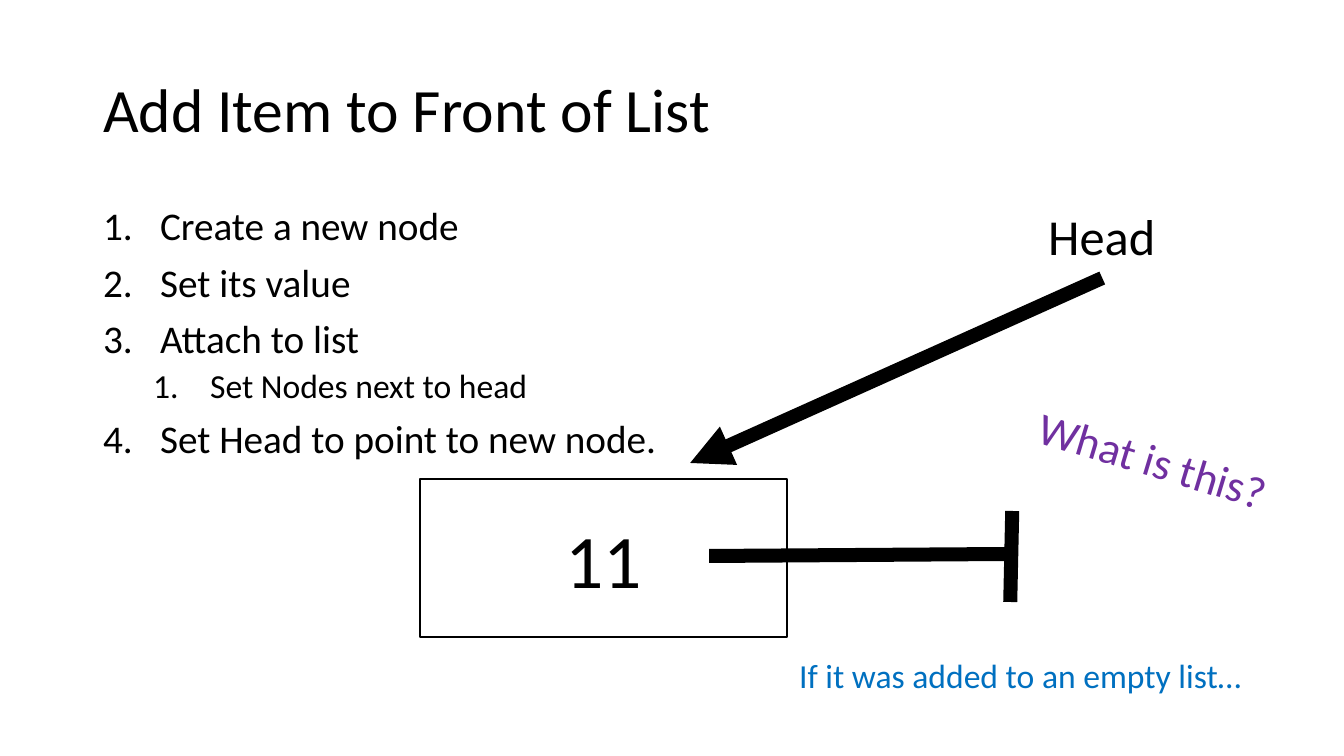
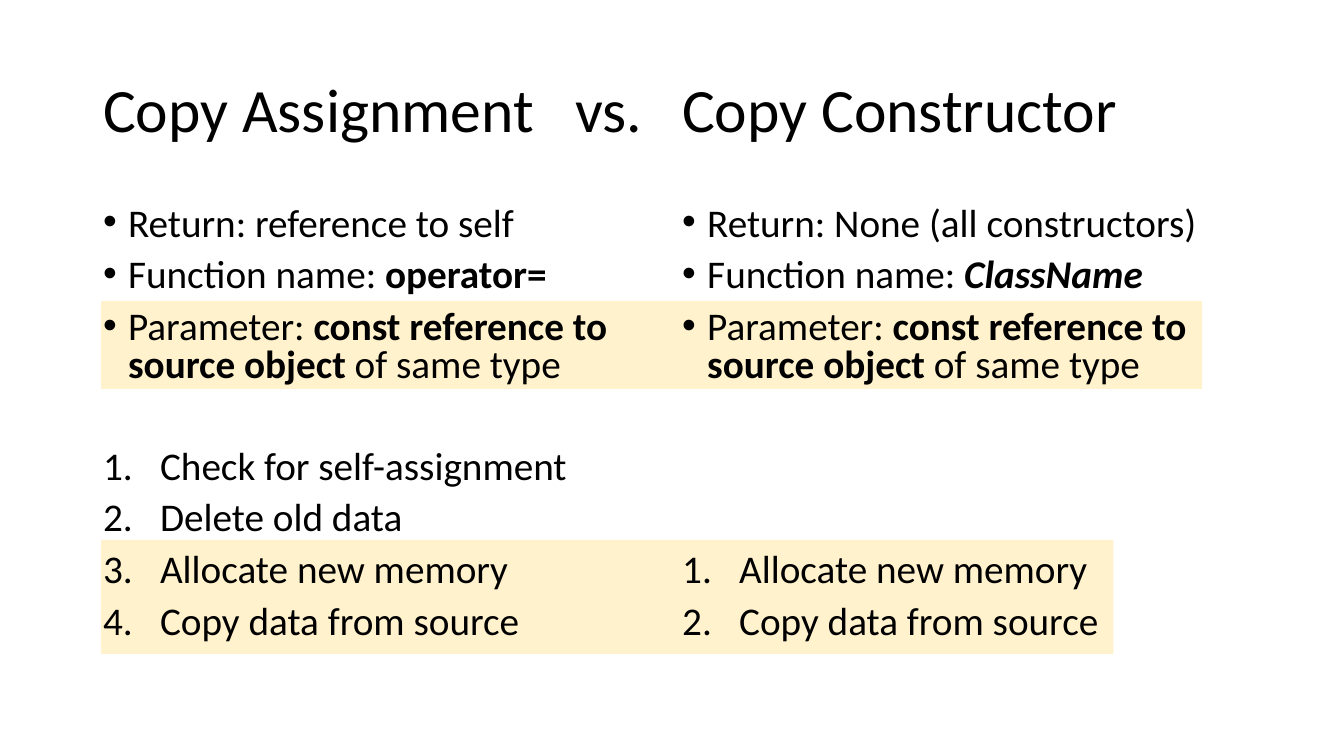
import dataclasses
import typing

import lxml.etree
import pptx
import pptx.dml.color
import pptx.enum.shapes
import pptx.enum.text
import pptx.oxml.ns
import pptx.util

# Shared look
PIXELS_PER_INCH = 100.8
FONT = "Calibri"
COLOURS = {
    "ink": "000000",
    "paper": "FFFFFF",
    "question": "7030A0",
    "note": "0070C0",
    "highlight": "FFF2CC",
}
TITLE_SIZE, LIST_SIZE, SUBLIST_SIZE = 44, 28, 24
BULLET_INDENT, NUMBER_INDENT, LEVEL_STEP = 25, 57, 50
POINTER_WIDTH = 10


@dataclasses.dataclass(frozen=True)
class Box:
    left: int
    top: int
    width: int
    height: int


@dataclasses.dataclass(frozen=True)
class Span:
    text: str
    bold: bool = False
    italic: bool = False


@dataclasses.dataclass(frozen=True)
class Paragraph:
    spans: tuple[Span, ...]
    size: float = LIST_SIZE
    marker: str = ""
    level: int = 0
    before: float = 10


@dataclasses.dataclass(frozen=True)
class Label:
    text: str
    box: Box
    size: float
    colour: str = "ink"
    wrap: bool = False
    rotation: float = 0


@dataclasses.dataclass(frozen=True)
class Pointer:
    start: tuple[int, int]
    end: tuple[int, int]
    arrow: bool = False


TITLE = Box(93, 40, 1159, 146)
BODY = Box(93, 202, 1159, 480)
COLUMN_WIDTH = 580
COLUMN_LEFTS = (93, 672)


def px(value: float) -> int:
    return round(value * pptx.util.Inches(1) / PIXELS_PER_INCH)


def extent(box: Box) -> tuple[int, ...]:
    return tuple(px(side) for side in dataclasses.astuple(box))


def rgb(colour: str) -> pptx.dml.color.RGBColor:
    return pptx.dml.color.RGBColor.from_string(COLOURS[colour])


def add_xml(parent: typing.Any, tag: str, **attributes: str) -> typing.Any:
    return lxml.etree.SubElement(parent, pptx.oxml.ns.qn(tag), attributes)


def place(shape: typing.Any, box: Box) -> None:
    shape.left, shape.top, shape.width, shape.height = extent(box)


# Text
def set_marker(paragraph: typing.Any, item: Paragraph) -> None:
    properties = paragraph._p.get_or_add_pPr()
    indent = NUMBER_INDENT if item.marker == "number" else BULLET_INDENT
    if item.marker:
        properties.set("marL", str(px(indent + item.level * LEVEL_STEP)))
        properties.set("indent", str(px(-indent)))
    if item.marker == "number":
        add_xml(properties, "a:buFont", typeface="+mj-lt")
        add_xml(properties, "a:buAutoNum", type="arabicPeriod")
    elif item.marker == "bullet":
        add_xml(properties, "a:buFont", typeface="Arial")
        add_xml(properties, "a:buChar", char="•")


def write(
    frame: typing.Any,
    text: str | list[Paragraph],
    *,
    size: float = LIST_SIZE,
    colour: str = "ink",
    spacing: float = 1.0,
    wrap: bool = True,
    grow: bool = False,
    centred: bool = False,
    middle: bool = False,
    tab: int = 0,
) -> None:
    fit, align, anchor = (
        pptx.enum.text.MSO_AUTO_SIZE,
        pptx.enum.text.PP_ALIGN,
        pptx.enum.text.MSO_ANCHOR,
    )
    frame.word_wrap = wrap
    frame.auto_size = fit.SHAPE_TO_FIT_TEXT if grow else fit.NONE
    frame.vertical_anchor = anchor.MIDDLE if middle else anchor.TOP
    if isinstance(text, str):
        text = [Paragraph((Span(text),), size, before=0)]
    for index, item in enumerate(text):
        paragraph = frame.add_paragraph() if index else frame.paragraphs[0]
        paragraph.level = item.level
        paragraph.alignment = align.CENTER if centred else align.LEFT
        paragraph.line_spacing = spacing
        paragraph.space_before = pptx.util.Pt(item.before)
        set_marker(paragraph, item)
        if tab:
            stops = add_xml(paragraph._p.get_or_add_pPr(), "a:tabLst")
            add_xml(stops, "a:tab", pos=str(px(tab)), algn="l")
        for span in item.spans:
            run = paragraph.add_run()
            run.text = span.text
            run.font.name = FONT
            run.font.size = pptx.util.Pt(item.size)
            run.font.bold = span.bold
            run.font.italic = span.italic
            run.font.color.rgb = rgb(colour)


def write_title(shape: typing.Any, text: str, box: Box, tab: int = 0) -> None:
    place(shape, box)
    write(shape.text_frame, text, size=TITLE_SIZE, spacing=0.9, middle=True, tab=tab)


def write_list(
    shape: typing.Any, items: list[Paragraph], box: Box, spacing: float
) -> None:
    place(shape, box)
    write(shape.text_frame, items, spacing=spacing)


def bullet(*spans: Span) -> Paragraph:
    return Paragraph(spans, marker="bullet")


def step(text: str, before: float = 10) -> Paragraph:
    return Paragraph((Span(text),), marker="number", before=before)


# Shapes
def add_label(slide: typing.Any, label: Label) -> None:
    shape = slide.shapes.add_textbox(*extent(label.box))
    shape.rotation = label.rotation
    write(
        shape.text_frame,
        label.text,
        size=label.size,
        colour=label.colour,
        wrap=label.wrap,
        grow=True,
    )


def add_rectangle(
    slide: typing.Any, box: Box, fill: str, outlined: bool = False
) -> typing.Any:
    shape = slide.shapes.add_shape(
        pptx.enum.shapes.MSO_SHAPE.RECTANGLE, *extent(box)
    )
    shape.shadow.inherit = False
    shape.fill.solid()
    shape.fill.fore_color.rgb = rgb(fill)
    if outlined:
        shape.line.color.rgb = rgb("ink")
        shape.line.width = pptx.util.Pt(1)
    else:
        shape.line.fill.background()
    return shape


def add_pointer(shapes: typing.Any, pointer: Pointer) -> None:
    line = shapes.add_connector(
        pptx.enum.shapes.MSO_CONNECTOR.STRAIGHT,
        *(px(value) for value in pointer.start + pointer.end),
    )
    line.line.color.rgb = rgb("ink")
    line.line.width = pptx.util.Pt(POINTER_WIDTH)
    if pointer.arrow:
        add_xml(line.line._get_or_add_ln(), "a:tailEnd", type="triangle")
    add_xml(line._element.spPr, "a:effectLst")


# Slide 1: adding to the front of a list
def build_add_item(deck: typing.Any) -> None:
    slide = deck.slides.add_slide(deck.slide_layouts[1])
    write_title(slide.shapes.title, "Add Item to Front of List", TITLE)
    steps = [
        step("Create a new node"),
        step("Set its value"),
        step("Attach to list"),
        Paragraph((Span("Set Nodes next to head"),), SUBLIST_SIZE, "number", 1, 5),
        step("Set Head to point to new node."),
    ]
    write_list(slide.placeholders[1], steps, BODY, 0.9)

    add_pointer(slide.shapes, Pointer((1102, 278), (690, 463), arrow=True))
    node = add_rectangle(slide, Box(420, 479, 367, 158), "paper", outlined=True)
    write(node.text_frame, "11", size=54, centred=True, middle=True)

    null_end = slide.shapes.add_group_shape()
    for pointer in (
        Pointer((709, 556), (1010, 554)),
        Pointer((1010, 602), (1012, 511)),
    ):
        add_pointer(null_end.shapes, pointer)

    for label in (
        Label("Head", Box(1038, 200, 128, 72), 36),
        Label("What is this?", Box(1025, 429, 268, 65), 32, "question", True, 16.8),
        Label(
            "If it was added to an empty list…", Box(789, 650, 466, 50), 24, "note"
        ),
    ):
        add_label(slide, label)


# Slide 2: the two copy operations side by side
def signature(returns: str, name: Span) -> list[Paragraph]:
    return [
        bullet(Span(f"Return: {returns}")),
        bullet(Span("Function name: "), name),
        bullet(
            Span("Parameter: "),
            Span("const reference to source object", bold=True),
            Span(" of same type"),
        ),
    ]


def build_comparison(deck: typing.Any) -> None:
    slide = deck.slides.add_slide(deck.slide_layouts[3])
    bands = (Box(101, 301, 1101, 88), Box(101, 540, 1012, 114))
    for depth, band in enumerate(bands, start=2):
        highlight = add_rectangle(slide, band, "highlight").element
        highlight.getparent().insert(depth, highlight)

    title_boxes = [
        Box(left, TITLE.top, COLUMN_WIDTH, TITLE.height) for left in COLUMN_LEFTS
    ]
    constructor_title = slide.shapes.add_textbox(*extent(title_boxes[1]))
    write_title(slide.shapes.title, "Copy Assignment\tvs.", title_boxes[0], tab=472)
    write_title(constructor_title, "Copy Constructor", title_boxes[1])

    assignment = signature("reference to self", Span("operator=", bold=True)) + [
        step("Check for self-assignment", before=46),
        step("Delete old data"),
        step("Allocate new memory"),
        step("Copy data from source"),
    ]
    constructor = signature(
        "None (all constructors)", Span("ClassName", bold=True, italic=True)
    ) + [
        step("Allocate new memory", before=120),
        step("Copy data from source"),
    ]
    for index, items in enumerate((assignment, constructor)):
        column = Box(COLUMN_LEFTS[index], BODY.top, COLUMN_WIDTH, BODY.height)
        write_list(slide.placeholders[index + 1], items, column, 0.8)


presentation = pptx.Presentation()
presentation.slide_width = pptx.util.Inches(13.33)
presentation.slide_height = pptx.util.Inches(7.5)
build_add_item(presentation)
build_comparison(presentation)
presentation.save("out.pptx")
